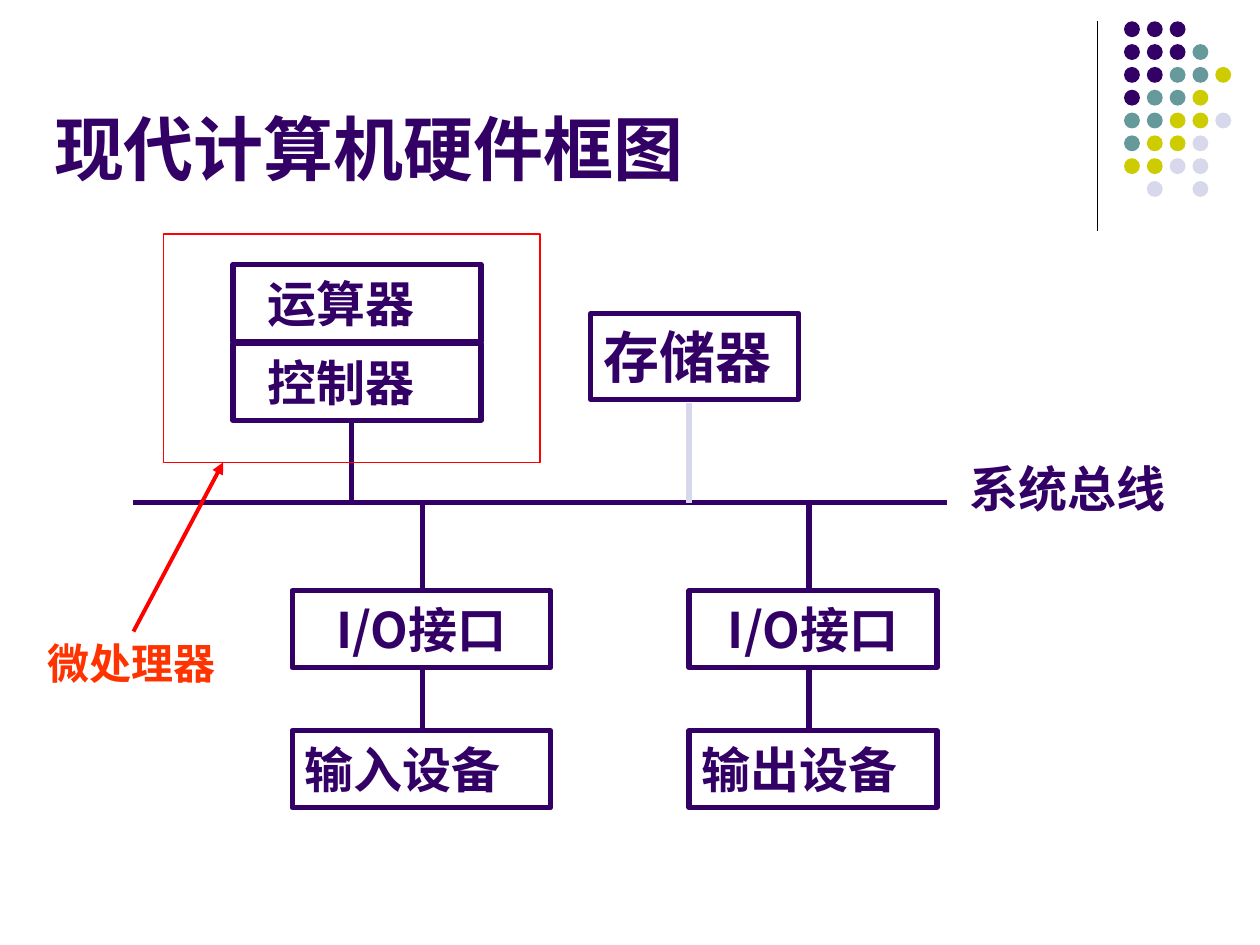
"""Build a slide with a block diagram of modern computer hardware."""
from lxml.etree import SubElement
from pptx import Presentation
from pptx.dml.color import RGBColor as Rgb
from pptx.enum.shapes import MSO_CONNECTOR as Conn, MSO_SHAPE as Kind
from pptx.enum.text import MSO_ANCHOR as Anchor, PP_ALIGN as Align
from pptx.oxml.ns import qn
from pptx.util import Cm, Pt

INK = {"P": "330066", "T": "669999", "Y": "CCCC00", "L": "D8D8EC",
       "red": "FF0000", "warm": "FF3300", "black": "000000"}
SANS, BODY, HAN = "Arial", "Cabin", "Noto Sans CJK SC"

deck = Presentation()
deck.slide_width, deck.slide_height = Cm(25.4), Cm(19.05)
shapes = deck.slides.add_slide(deck.slide_layouts[6]).shapes


def write(shape, text, size, face=BODY, ink="P", align=Align.LEFT, inset=0.25, anchor=Anchor.MIDDLE):
    frame = shape.text_frame
    look = {"word_wrap": True, "vertical_anchor": anchor, "margin_left": Cm(inset)}
    for key, val in look.items():
        setattr(frame, key, val)
    para = frame.paragraphs[0]
    para.alignment = align
    run = para.add_run()
    run.text = text
    for key, val in {"name": face, "size": Pt(size), "bold": True}.items():
        setattr(run.font, key, val)
    run.font.color.rgb = Rgb.from_string(INK[ink])
    SubElement(run.font._element, qn("a:ea"), typeface=HAN)


def join(x1, y1, x2, y2, ink="P", width=3):
    wire = shapes.add_connector(Conn.STRAIGHT, Cm(x1), Cm(y1), Cm(x2), Cm(y2))
    wire.line.color.rgb = Rgb.from_string(INK[ink])
    wire.line.width = Pt(width)
    SubElement(wire._element.spPr, qn("a:effectLst"))
    return wire


join(22.12, 0.43, 22.12, 4.65, "black", 0.75)
dots = ["PPP", "PPPT", "PPTTY", "PTTY", "TTYYL", "TYYL", "YYLL", " L L"]
for row, line in enumerate(dots):
    for col, ink in enumerate(line):
        if ink in INK:
            dot = shapes.add_shape(Kind.OVAL, Cm(22.66 + 0.46 * col), Cm(0.43 + 0.46 * row), Cm(0.32), Cm(0.32))
            dot.shadow.inherit = False
            dot.fill.solid()
            dot.fill.fore_color.rgb = Rgb.from_string(INK[ink])
            dot.line.fill.background()

labels = [
    ("现代计算机硬件框图", 0.84, 1.7, 23.72, 2.24, 40, {"face": SANS, "anchor": Anchor.BOTTOM}),
    ("系统总线", 19.3, 9.12, 5.31, 1.45, 28, {}),
    ("微处理器", 0.71, 12.73, 4.39, 1.27, 24, {"face": SANS, "ink": "warm"}),
]
for text, x, y, w, h, size, look in labels:
    write(shapes.add_textbox(Cm(x), Cm(y), Cm(w), Cm(h)), text, size, **look)

bus = 10.13
join(2.69, bus, 19.1, bus)
join(7.09, 8.53, 7.09, bus)
join(13.89, 8.13, 13.89, bus, "L")
for x in (8.51, 16.31):
    join(x, bus, x, 11.91)
    join(x, 13.51, x, 14.73)

port = {"face": HAN, "align": Align.CENTER}
boxes = [
    ("运算器", 4.7, 5.33, 5, 1.55, 28, {"inset": 0.7}),
    ("控制器", 4.7, 6.93, 5, 1.55, 28, {"inset": 0.7}),
    ("存储器", 11.91, 6.32, 4.19, 1.73, 32, {}),
    ("", 3.3, 4.72, 7.59, 4.6, 0, {}),
]
for x, w, name in ((5.89, 5.21, "输入设备"), (13.89, 5, "输出设备")):
    boxes += [("I/O接口", x, 11.91, w, 1.55, 28, port), (name, x, 14.73, w, 1.55, 28, {})]
for text, x, y, w, h, size, look in boxes:
    box = shapes.add_shape(Kind.RECTANGLE, Cm(x), Cm(y), Cm(w), Cm(h))
    box.shadow.inherit = False
    box.fill.background()
    box.line.color.rgb = Rgb.from_string(INK["P" if text else "red"])
    box.line.width = Pt(3 if text else 0.75)
    if text:
        write(box, text, size, **look)

arrow = join(2.69, 12.73, 4.5, 9.32, "red", 2.25)
SubElement(arrow.line._get_or_add_ln(), qn("a:tailEnd"), type="triangle")

deck.save("out.pptx")
